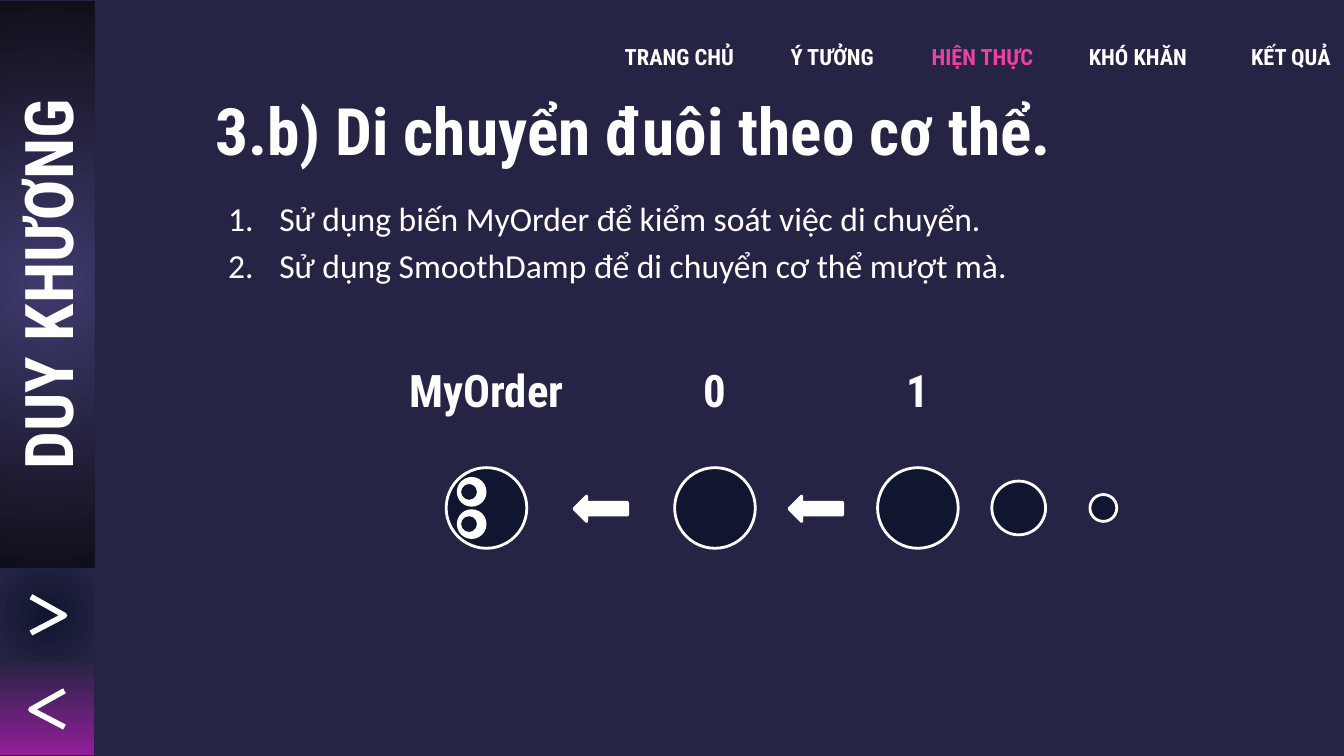
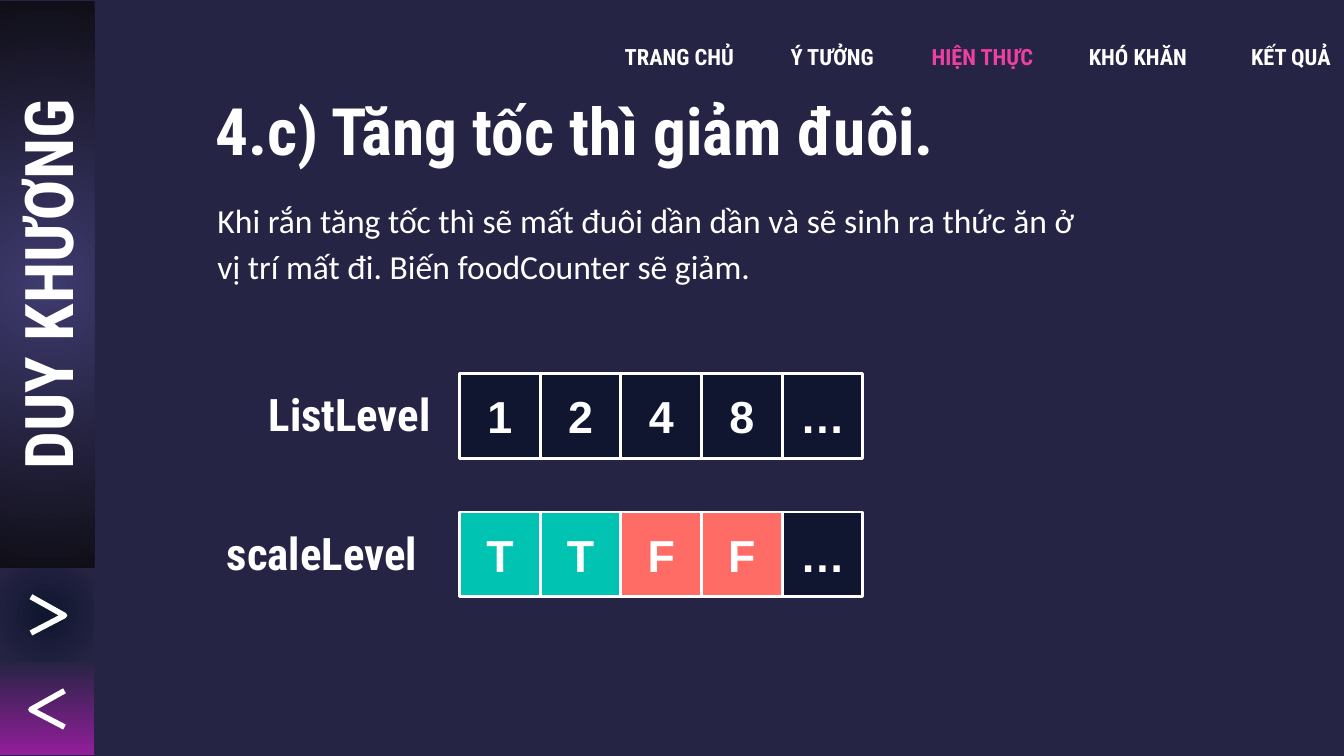
from lxml import etree
from pptx import Presentation
from pptx.dml.color import RGBColor
from pptx.enum import shapes, text
from pptx.oxml import ns
from pptx.util import Inches, Pt

BACKGROUND = RGBColor(0x26, 0x24, 0x44)
NAVY = RGBColor(0x10, 0x16, 0x2F)
PURPLE = RGBColor(0x93, 0x1E, 0x9B)
INDIGO = RGBColor(0x3E, 0x3B, 0x6F)
BLACK = RGBColor(0x10, 0x0F, 0x18)
WHITE = RGBColor(0xFF, 0xFF, 0xFF)
PINK = RGBColor(0xEE, 0x3F, 0xA2)
TEAL = RGBColor(0x00, 0xC3, 0xB1)
CORAL = RGBColor(0xFF, 0x6B, 0x65)
HEADING_FONT = "Roboto Condensed"
BODY_FONT = "Calibri"
CELL_FONT = "Arial"

MENU = ["TRANG CHỦ", "Ý TƯỞNG", "HIỆN THỰC ", "KHÓ KHĂN", "KẾT QUẢ"]
CURRENT_MENU = MENU[2]
TITLES = ["3.b) Di chuyển đuôi theo cơ thể.", "4.c) Tăng tốc thì giảm đuôi."]

SHAPE = shapes.MSO_SHAPE
LEFT, CENTER = text.PP_ALIGN.LEFT, text.PP_ALIGN.CENTER
TOP, MIDDLE = text.MSO_ANCHOR.TOP, text.MSO_ANCHOR.MIDDLE


def add_shape(container, kind, box, fill=None, line=WHITE):
    """Add a preset shape, or a text box when kind is None."""
    box = [Inches(length) for length in box]
    if kind is None:
        return container.add_textbox(*box)
    shape = container.add_shape(kind, *box)
    shape.shadow.inherit = False
    if isinstance(fill, RGBColor):
        shape.fill.solid()
        shape.fill.fore_color.rgb = fill
    else:
        shape.fill.gradient()
        for stop, color in zip(shape.fill.gradient_stops, fill):
            stop.color.rgb = color
    if line is None:
        shape.line.fill.background()
    else:
        shape.line.color.rgb = line
        shape.line.width = Pt(1.5)
    return shape


def write(shape, lines, size, font=HEADING_FONT, color=WHITE, bold=True,
          align=LEFT, anchor=TOP):
    frame = shape.text_frame
    frame.word_wrap = True
    frame.auto_size = text.MSO_AUTO_SIZE.NONE
    frame.vertical_anchor = anchor
    frame.margin_left = frame.margin_right = Inches(0.1)
    frame.margin_top = frame.margin_bottom = Inches(0.1)
    for index, line in enumerate(lines):
        paragraph = frame.add_paragraph() if index else frame.paragraphs[0]
        paragraph.alignment = align
        run = paragraph.add_run()
        run.text = line
        run.font.name = font
        run.font.size = Pt(size)
        run.font.bold = bold
        run.font.color.rgb = color
    return frame


presentation = Presentation()
presentation.slide_width = Inches(10)
presentation.slide_height = Inches(10 * 9 / 16)

# Shared frame: sidebar, arrows, menu and title
for title_text in TITLES:
    slide = presentation.slides.add_slide(presentation.slide_layouts[5])
    slide.background.fill.solid()
    slide.background.fill.fore_color.rgb = BACKGROUND

    back_tile = add_shape(slide.shapes, SHAPE.RECTANGLE, (0, 4.92, 0.7, 0.7),
                          (BACKGROUND, PURPLE), None)
    back_tile.fill.gradient_angle = 270
    next_tile = add_shape(slide.shapes, SHAPE.RECTANGLE, (0, 4.22, 0.7, 0.7),
                          (NAVY, BACKGROUND), None)
    name_band = add_shape(slide.shapes, SHAPE.RECTANGLE,
                          (-1.76, 1.76, 4.22, 0.71), (INDIGO, BLACK), None)
    name_band.rotation = 270
    write(name_band, ["DUY KHƯƠNG"], 36, align=CENTER, anchor=MIDDLE)

    # Radial gradients
    for shape in (next_tile, name_band):
        gradient = shape.element.spPr.find(ns.qn("a:gradFill"))
        gradient.remove(gradient.find(ns.qn("a:lin")))
        radial = etree.SubElement(gradient, ns.qn("a:path"), {"path": "circle"})
        etree.SubElement(radial, ns.qn("a:fillToRect"),
                         dict.fromkeys("ltrb", "50000"))

    # Next and back arrows
    for top, base, tip in ((4.44, 0.23, 0.48), (5.14, 0.48, 0.23)):
        builder = slide.shapes.build_freeform(Inches(base), Inches(top))
        builder.add_line_segments([(Inches(tip), Inches(top + 0.14)),
                                   (Inches(base), Inches(top + 0.27))], close=False)
        chevron = builder.convert_to_shape()
        chevron.shadow.inherit = False
        chevron.fill.background()
        chevron.line.color.rgb = WHITE
        chevron.line.width = Pt(3)

    for index, label in enumerate(MENU):
        item = add_shape(slide.shapes, None,
                         (4.49 + index * 4.55 / 4, 0.24, 1.13, 0.36))
        write(item, [label], 12, color=PINK if label == CURRENT_MENU else WHITE,
              align=CENTER, anchor=MIDDLE)

    title = slide.shapes.title
    title.left, title.top = Inches(1.5), Inches(0.57)
    title.width, title.height = Inches(7.72), Inches(0.63)
    write(title, [title_text], 35)

movement_slide, speed_slide = presentation.slides

# Slide 1: numbered steps
steps = add_shape(movement_slide.shapes, None, (1.48, 1.33, 7.17, 1.02))
frame = write(steps, ["Sử dụng biến MyOrder để kiểm soát việc di chuyển.",
                      "Sử dụng SmoothDamp để di chuyển cơ thể mượt mà."],
              18, BODY_FONT, bold=False)
for paragraph in frame.paragraphs:
    paragraph.line_spacing = 1.15
    properties = paragraph._p.get_or_add_pPr()
    properties.set("marL", str(Inches(0.5)))
    properties.set("indent", str(Inches(-0.38)))
    bullet_color = etree.SubElement(properties, ns.qn("a:buClr"))
    etree.SubElement(bullet_color, ns.qn("a:srgbClr"), val=str(WHITE))
    etree.SubElement(properties, ns.qn("a:buAutoNum"), type="arabicPeriod")

# Slide 1: snake body, tail, head and arrows
SNAKE_MIDDLE = 3.78
for left, diameter in ((5.02, 0.6), (6.53, 0.6), (7.38, 0.4), (8.11, 0.2)):
    add_shape(movement_slide.shapes, SHAPE.OVAL,
              (left, SNAKE_MIDDLE - diameter / 2, diameter, diameter), NAVY)

head = movement_slide.shapes.add_group_shape()
add_shape(head.shapes, SHAPE.OVAL, (3.32, 3.48, 0.6, 0.6), NAVY)
for eye_top in (3.56, 3.8):
    add_shape(head.shapes, SHAPE.OVAL, (3.41, eye_top, 0.2, 0.2), WHITE)
    add_shape(head.shapes, SHAPE.OVAL, (3.42, eye_top + 0.03, 0.14, 0.14), NAVY)

for left in (4.27, 5.87):
    add_shape(movement_slide.shapes, SHAPE.LEFT_ARROW, (left, 3.69, 0.4, 0.19), WHITE)

for label, left, width in (("MyOrder", 2.85, 1.54), ("0", 5.12, 0.4), ("1", 6.63, 0.4)):
    order_label = add_shape(movement_slide.shapes, None, (left, 2.6, width, 0.63))
    write(order_label, [label], 24, align=CENTER)

# Slide 2: explanation
explanation = add_shape(speed_slide.shapes, None, (1.52, 1.34, 6.8, 0.7))
frame = write(explanation, ["Khi rắn tăng tốc thì sẽ mất đuôi dần dần và sẽ sinh ra thức ăn "
                            "ở vị trí mất đi. Biến foodCounter sẽ giảm."],
              18, BODY_FONT, bold=False)
frame.paragraphs[0].line_spacing = 1.15
frame.paragraphs[0].space_after = Pt(16)

# Slide 2: rows of level cells
CELL_FILLS = {"T": TEAL, "F": CORAL}
LEVEL_ROWS = [("ListLevel", 1.9, 2.78, "1248…"), ("scaleLevel", 1.59, 3.81, "TTFF…")]
for name, left, top, values in LEVEL_ROWS:
    row_label = add_shape(speed_slide.shapes, None, (left, top, 3.42 - left, 0.63))
    write(row_label, [name], 24)
    for column, value in enumerate(values):
        cell = add_shape(speed_slide.shapes, SHAPE.RECTANGLE,
                         (3.42 + column * 0.6, top, 0.6, 0.63),
                         CELL_FILLS.get(value, NAVY))
        write(cell, [value], 24, CELL_FONT, align=CENTER, anchor=MIDDLE)

presentation.save("out.pptx")
